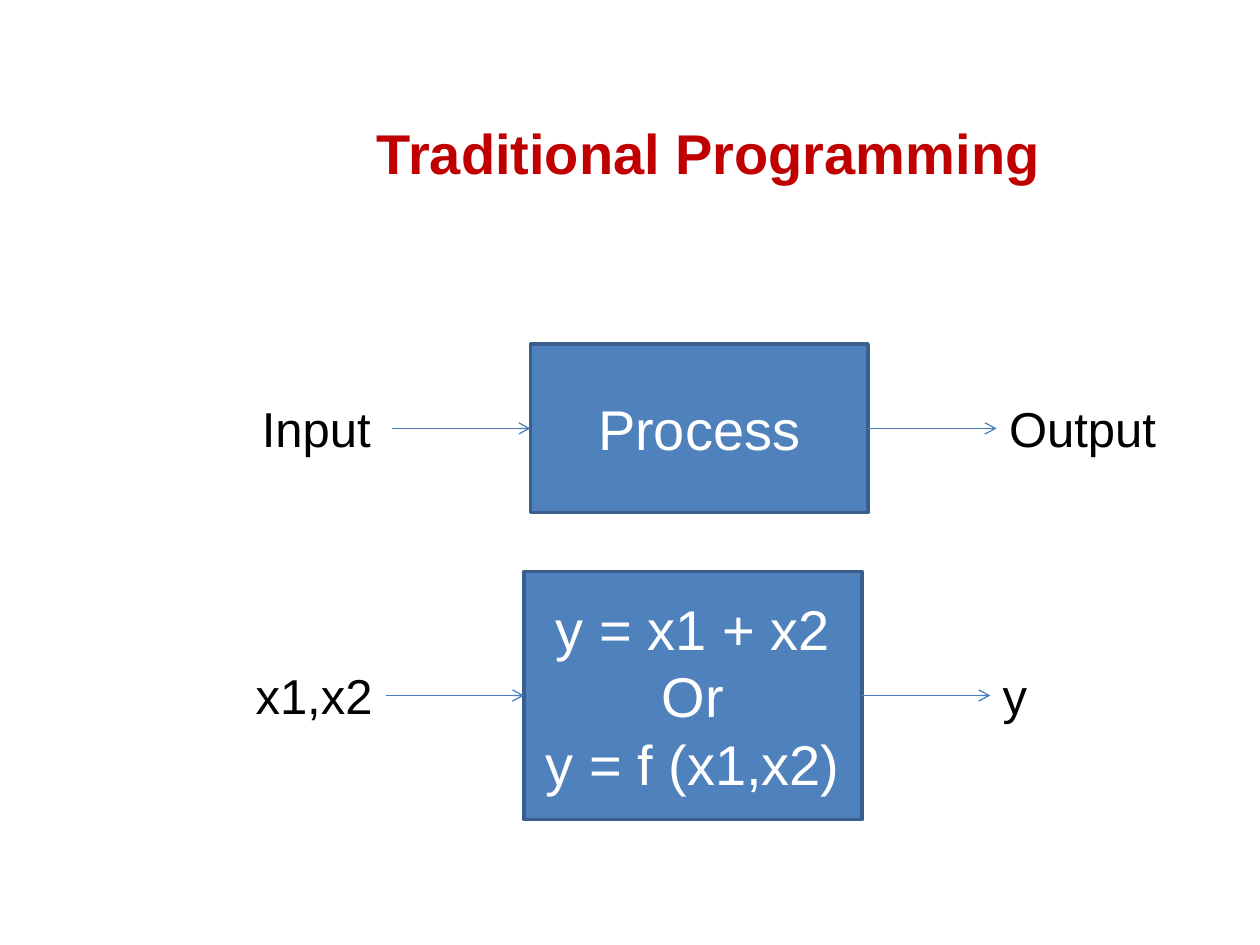
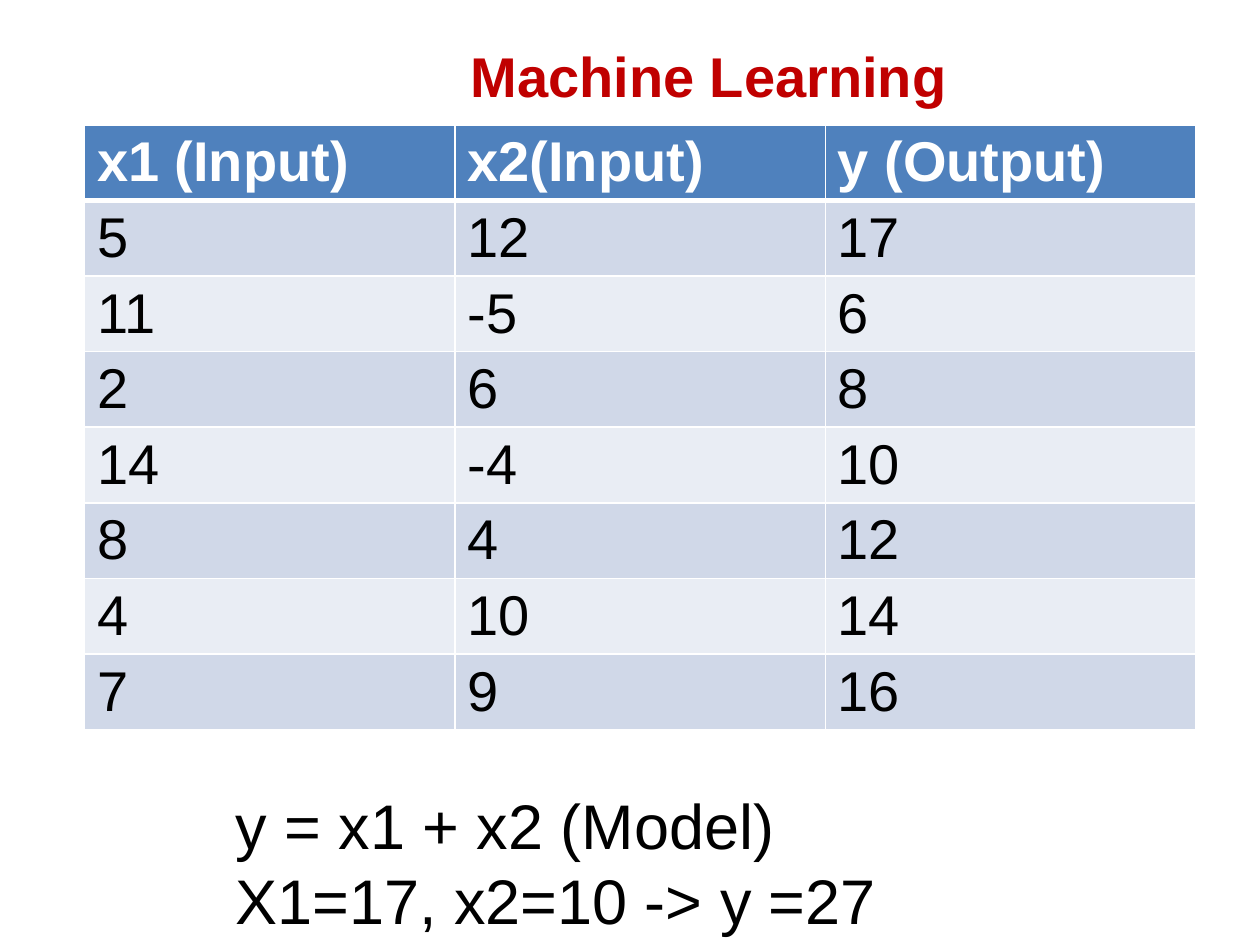
from dataclasses import dataclass

from lxml import etree
from pptx import Presentation
from pptx.dml.color import RGBColor
from pptx.enum.shapes import MSO_CONNECTOR, MSO_SHAPE
from pptx.enum.text import MSO_ANCHOR, MSO_AUTO_SIZE, PP_ALIGN
from pptx.oxml.ns import qn
from pptx.util import Inches, Pt

LEFT, CENTER = PP_ALIGN.LEFT, PP_ALIGN.CENTER
MIDDLE = MSO_ANCHOR.MIDDLE
GROW = MSO_AUTO_SIZE.SHAPE_TO_FIT_TEXT
RECTANGLE, STRAIGHT = MSO_SHAPE.RECTANGLE, MSO_CONNECTOR.STRAIGHT
BLANK_LAYOUT = 6


@dataclass(frozen=True)
class Theme:
    """Colours, font and type sizes shared by the slides."""
    font: str = "Arial"
    title: str = "C00000"
    ink: str = "000000"
    paper: str = "FFFFFF"
    accent: str = "4F81BD"
    outline: str = "3A5F8C"
    arrow: str = "4B7EBC"
    bands: tuple = ("D0D8E8", "E9EDF4")
    large: int = 36
    body: int = 32
    label: int = 28


THEME = Theme()

# Content
PROGRAMMING_TITLE = "Traditional Programming"
FLOWS = [
    {"left": 1.98, "middle": 3.4, "height": 1.34, "input_width": 1.1,
     "input": "Input", "process": ["Process"], "output": "Output"},
    {"left": 1.93, "middle": 5.52, "height": 1.97, "input_width": 1.42,
     "input": "x1,x2", "process": ["y = x1 + x2", "Or", "y = f (x1,x2)"],
     "output": "y"},
]
LEARNING_TITLE = "Machine Learning"
SAMPLES = [
    ("x1 (Input)", "x2(Input)", "y (Output)"),
    (5, 12, 17),
    (11, -5, 6),
    (2, 6, 8),
    (14, -4, 10),
    (8, 4, 12),
    (4, 10, 14),
    (7, 9, 16),
]
MODEL = ["y = x1 + x2 (Model)", "X1=17, x2=10 -> y =27"]

# Layout in inches
SLIDE_WIDTH, SLIDE_HEIGHT = 10, 7.5
TITLE_LEFT, TITLE_WIDTH, TITLE_HEIGHT = 1.5, 8.25, 1.25
INPUT_GAP, INPUT_ARROW = 1.13, 1.1
PROCESS_WIDTH, OUTPUT_ARROW = 2.68, 1.02
LABEL_HEIGHT, OUTPUT_WIDTH = 0.57, 1.81
TABLE_LEFT, TABLE_TOP, COLUMN, ROW = 0.67, 0.99, 2.94, 0.6


def rgb(code):
    """Turn a hex code into a colour."""
    return RGBColor.from_string(code)


def write(frame, lines, size=THEME.body, color=THEME.ink, bold=False, align=LEFT):
    """Write one paragraph per line into a text frame."""
    for number, line in enumerate(lines):
        paragraph = frame.add_paragraph() if number else frame.paragraphs[0]
        paragraph.alignment = align
        run = paragraph.add_run()
        run.text = str(line)
        run.font.name, run.font.size = THEME.font, Pt(size)
        run.font.bold, run.font.color.rgb = bold, rgb(color)


def add_text(shapes, box, lines, anchor=None, auto_size=GROW, **text_format):
    """Add a wrapping text box; box is left, top, width, height."""
    frame = shapes.add_textbox(*map(Inches, box)).text_frame
    frame.word_wrap, frame.auto_size = True, auto_size
    if anchor is not None:
        frame.vertical_anchor = anchor
    write(frame, lines, **text_format)


def add_titled_slide(deck, title, top):
    """Add a blank slide with the shared title style."""
    slide = deck.slides.add_slide(deck.slide_layouts[BLANK_LAYOUT])
    add_text(slide.shapes, (TITLE_LEFT, top, TITLE_WIDTH, TITLE_HEIGHT), [title],
             anchor=MIDDLE, auto_size=MSO_AUTO_SIZE.NONE,
             color=THEME.title, bold=True, align=CENTER)
    return slide


def add_arrow(shapes, start, end, y):
    """Add a thin horizontal arrow from start to end."""
    arrow = shapes.add_connector(STRAIGHT, *map(Inches, (start, y, end, y)))
    arrow.line.color.rgb, arrow.line.width = rgb(THEME.arrow), Pt(0.75)
    properties = arrow.element.spPr
    etree.SubElement(properties.find(qn("a:ln")), qn("a:tailEnd"), type="arrow")
    etree.SubElement(properties, qn("a:effectLst"))


def add_flow(slide, flow):
    """Add one grouped input, process and output row."""
    shapes = slide.shapes.add_group_shape().shapes
    middle, height = flow["middle"], flow["height"]
    arrow_left = flow["left"] + INPUT_GAP
    process_left = arrow_left + INPUT_ARROW
    process_right = process_left + PROCESS_WIDTH
    output_left = process_right + OUTPUT_ARROW
    label_top = middle - LABEL_HEIGHT / 2

    process = shapes.add_shape(RECTANGLE, *map(
        Inches, (process_left, middle - height / 2, PROCESS_WIDTH, height)))
    process.shadow.inherit = False
    process.fill.solid()
    process.fill.fore_color.rgb = rgb(THEME.accent)
    process.line.color.rgb, process.line.width = rgb(THEME.outline), Pt(2)
    process.text_frame.word_wrap = True
    process.text_frame.vertical_anchor = MIDDLE
    write(process.text_frame, flow["process"], color=THEME.paper, align=CENTER)

    add_arrow(shapes, arrow_left, process_left, middle)
    add_text(shapes, (flow["left"], label_top, flow["input_width"], LABEL_HEIGHT),
             [flow["input"]], size=THEME.label)
    add_arrow(shapes, process_right, output_left, middle)
    add_text(shapes, (output_left, label_top, OUTPUT_WIDTH, LABEL_HEIGHT),
             [flow["output"]], size=THEME.label)


def add_borders(cell, bottom, top):
    """Draw white borders around a cell, widths in points."""
    properties = cell._tc.get_or_add_tcPr()
    widths = {"a:lnL": 1, "a:lnR": 1, "a:lnT": top, "a:lnB": bottom}
    for position, (side, width) in enumerate(widths.items()):
        border = etree.Element(qn(side), w=str(Pt(width)))
        fill = etree.SubElement(border, qn("a:solidFill"))
        etree.SubElement(fill, qn("a:srgbClr"), val=THEME.paper)
        properties.insert(position, border)


def add_samples(slide, rows):
    """Add the banded table of samples."""
    row_count, column_count = len(rows), len(rows[0])
    table = slide.shapes.add_table(row_count, column_count, *map(Inches, (
        TABLE_LEFT, TABLE_TOP, COLUMN * column_count, ROW * row_count))).table
    for r, values in enumerate(rows):
        header = r == 0
        fill = THEME.accent if header else THEME.bands[(r - 1) % 2]
        for c, value in enumerate(values):
            cell = table.cell(r, c)
            cell.fill.solid()
            cell.fill.fore_color.rgb = rgb(fill)
            add_borders(cell, bottom=3 if header else 1, top=3 if r == 1 else 1)
            write(cell.text_frame, [value], bold=header,
                  color=THEME.paper if header else THEME.ink)


def main():
    """Build and save the deck."""
    deck = Presentation()
    deck.slide_width, deck.slide_height = Inches(SLIDE_WIDTH), Inches(SLIDE_HEIGHT)

    programming = add_titled_slide(deck, PROGRAMMING_TITLE, top=0.58)
    for flow in FLOWS:
        add_flow(programming, flow)

    learning = add_titled_slide(deck, LEARNING_TITLE, top=-0.03)
    add_samples(learning, SAMPLES)
    add_text(learning.shapes, (1.77, 6.19, 7.09, 1.31), MODEL, size=THEME.large)

    deck.save("out.pptx")


main()
